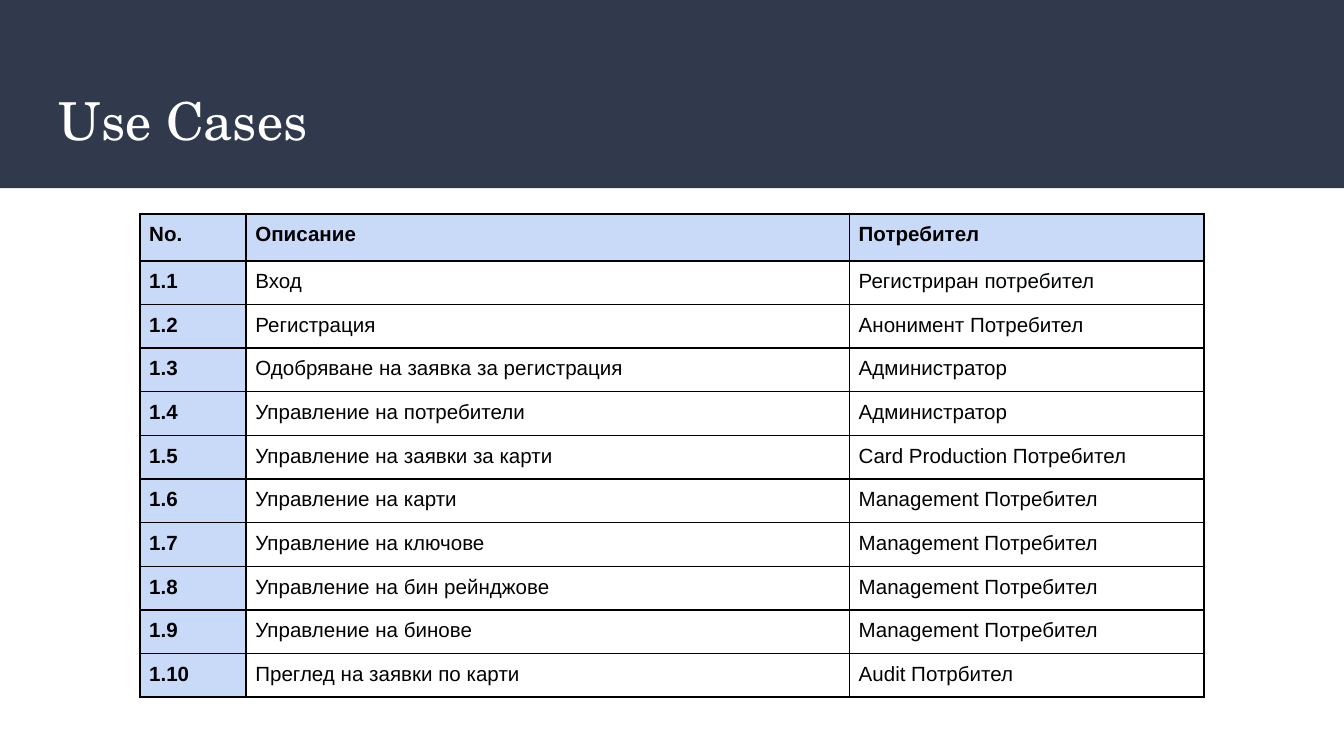
from lxml import etree
from pptx import Presentation
from pptx.dml.color import RGBColor
from pptx.enum.shapes import MSO_SHAPE
from pptx.enum.text import MSO_ANCHOR
from pptx.oxml.ns import qn
from pptx.util import Inches, Pt

RECTANGLE = MSO_SHAPE.RECTANGLE
MIDDLE = MSO_ANCHOR.MIDDLE

TITLE = "Use Cases"
HEADINGS = ("No.", "Описание", "Потребител")
USE_CASES = [
    ("Вход", "Регистриран потребител"),
    ("Регистрация", "Анонимент Потребител"),
    ("Одобряване на заявка за регистрация", "Администратор"),
    ("Управление на потребители", "Администратор"),
    ("Управление на заявки за карти", "Card Production Потребител"),
    ("Управление на карти", "Management Потребител"),
    ("Управление на ключове", "Management Потребител"),
    ("Управление на бин рейнджове", "Management Потребител"),
    ("Управление на бинове", "Management Потребител"),
    ("Преглед на заявки по карти", "Audit Потрбител"),
]

COLORS = {"band": "31394D", "title": "FFFFFF", "text": "000000",
          "border": "000000", "label": "C9DAF8"}
SLIDE_WIDTH = 10
SLIDE_HEIGHT = SLIDE_WIDTH * 9 / 16
BAND_HEIGHT = 1.4
TABLE_LEFT, TABLE_TOP, TABLE_HEIGHT = 1.04, 1.59, 3.6
COLUMN_WIDTHS = (0.79, 4.49, 2.64)
HEADER_HEIGHT = 0.35
CELL_MARGIN = 0.07


def write_text(frame, text, *, size, font, color, bold=False):
    run = frame.paragraphs[0].add_run()
    run.text = text
    run.font.size = Pt(size)
    run.font.name = font
    run.font.bold = bold
    run.font.color.rgb = RGBColor.from_string(color)


def add_borders(cell, color, width=1):
    """Line all four sides; borders must precede the fill in the cell XML."""
    properties = cell._tc.get_or_add_tcPr()
    for position, side in enumerate(("a:lnL", "a:lnR", "a:lnT", "a:lnB")):
        line = etree.Element(qn(side), w=str(Pt(width)))
        fill = etree.SubElement(line, qn("a:solidFill"))
        etree.SubElement(fill, qn("a:srgbClr"), val=color)
        properties.insert(position, line)


def add_title_band(slide):
    band = slide.shapes.add_shape(RECTANGLE, 0, 0, Inches(SLIDE_WIDTH), Inches(BAND_HEIGHT))
    band.shadow.inherit = False
    band.fill.solid()
    band.fill.fore_color.rgb = RGBColor.from_string(COLORS["band"])
    band.line.fill.background()

    title = slide.shapes.add_textbox(Inches(0.34), Inches(0.55), Inches(9.32), Inches(0.68))
    frame = title.text_frame
    frame.word_wrap = True
    frame.vertical_anchor = MIDDLE
    frame.margin_left = frame.margin_right = Inches(0.1)
    frame.margin_top = frame.margin_bottom = Inches(0.1)
    write_text(frame, TITLE, size=28, font="TeX Gyre Schola", color=COLORS["title"])


def add_use_case_table(slide):
    rows = [HEADINGS] + [(f"1.{number}", *use_case)
                         for number, use_case in enumerate(USE_CASES, 1)]
    table = slide.shapes.add_table(
        len(rows), len(HEADINGS), Inches(TABLE_LEFT), Inches(TABLE_TOP),
        Inches(sum(COLUMN_WIDTHS)), Inches(TABLE_HEIGHT)).table
    table.horz_banding = False
    for column, width in zip(table.columns, COLUMN_WIDTHS):
        column.width = Inches(width)
    use_case_height = (TABLE_HEIGHT - HEADER_HEIGHT) / len(USE_CASES)

    for r, values in enumerate(rows):
        table.rows[r].height = Inches(use_case_height if r else HEADER_HEIGHT)
        for c, value in enumerate(values):
            cell = table.cell(r, c)
            is_label = r == 0 or c == 0
            cell.margin_left = cell.margin_right = Inches(CELL_MARGIN)
            cell.margin_top = cell.margin_bottom = Inches(CELL_MARGIN)
            if is_label:
                cell.fill.solid()
                cell.fill.fore_color.rgb = RGBColor.from_string(COLORS["label"])
            else:
                cell.fill.background()
            add_borders(cell, COLORS["border"])
            write_text(cell.text_frame, value, size=11, font="Arial",
                       color=COLORS["text"], bold=is_label)


def main():
    presentation = Presentation()
    presentation.slide_width = Inches(SLIDE_WIDTH)
    presentation.slide_height = Inches(SLIDE_HEIGHT)
    slide = presentation.slides.add_slide(presentation.slide_layouts[6])
    add_title_band(slide)
    add_use_case_table(slide)
    presentation.save("out.pptx")


if __name__ == "__main__":
    main()
